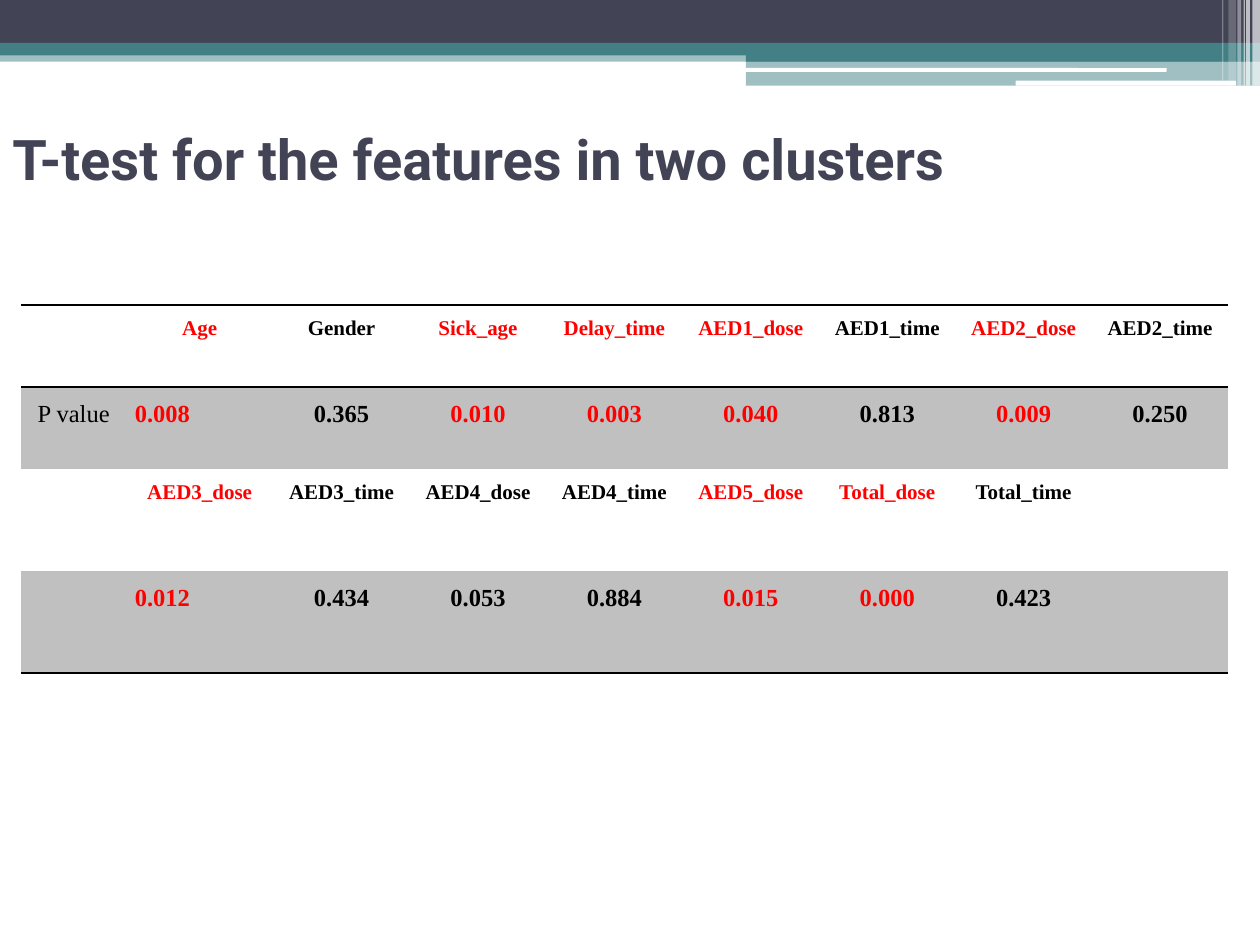
from lxml import etree
from pptx import Presentation
from pptx import util as u
from pptx.dml.color import RGBColor
from pptx.enum import shapes, text
from pptx.oxml.ns import qn

COLORS = {
    "slate": "424456", "teal": "438086", "white": "FFFFFF",
    "black": "000000", "red": "FF0000", "gray": "C0C0C0",
}
SIGNIFICANCE = 0.05
RESULTS = [
    [("Age", "0.008"), ("Gender", "0.365"), ("Sick_age", "0.010"),
     ("Delay_time", "0.003"), ("AED1_dose", "0.040"), ("AED1_time", "0.813"),
     ("AED2_dose", "0.009"), ("AED2_time", "0.250")],
    [("AED3_dose", "0.012"), ("AED3_time", "0.434"), ("AED4_dose", "0.053"),
     ("AED4_time", "0.884"), ("AED5_dose", "0.015"), ("Total_dose", "0.000"),
     ("Total_time", "0.423")],
]


def rgb(name):
    return RGBColor.from_string(COLORS[name])


def add_run(paragraph, content, size, font, color, bold):
    run = paragraph.add_run()
    run.text = content
    run.font.size = u.Pt(size)
    run.font.name = font
    run.font.bold = bold
    run.font.color.rgb = rgb(color)


def add_bar(slide, left, top, width, height, color, opacity=100, rounded=False):
    kind = shapes.MSO_SHAPE.ROUNDED_RECTANGLE if rounded else shapes.MSO_SHAPE.RECTANGLE
    bar = slide.shapes.add_shape(kind, *map(u.Inches, (left, top, width, height)))
    bar.shadow.inherit = False
    bar.line.fill.background()
    bar.fill.solid()
    bar.fill.fore_color.rgb = rgb(color)
    if opacity < 100:
        color_element = bar.fill._xPr.find(qn("a:solidFill"))[0]
        etree.SubElement(color_element, qn("a:alpha"), val=str(opacity * 1000))


def add_header(slide, left, top, width):
    # Full-width bands
    add_bar(slide, left, top + 0.4, width, 0.09, "teal", 50)
    add_bar(slide, left, top, width, 0.34, "slate")
    add_bar(slide, left, top + 0.34, width, 0.1, "teal")
    # Step on the right, with two white rules
    step = left + 5.92
    add_bar(slide, step, top + 0.39, width - 5.92, 0.1, "teal")
    add_bar(slide, step, top + 0.48, width - 5.92, 0.2, "teal", 50)
    add_bar(slide, left + 5.91, top + 0.54, 3.35, 0.03, "white", rounded=True)
    add_bar(slide, left + 8.06, top + 0.64, 1.75, 0.04, "white", rounded=True)
    # Translucent stripes: offset, width, height, opacity
    stripes = [(9.94, 0.06, 0.68, 65), (9.89, 0.03, 0.68, 65), (9.87, 0.01, 0.68, 60),
               (9.82, 0.03, 0.68, 40), (9.75, 0.06, 0.64, 20), (9.7, 0.01, 0.64, 30)]
    for offset, stripe_width, height, opacity in stripes:
        add_bar(slide, left + offset, top, stripe_width, height, "white", opacity)


def add_title(slide, left, top, width, height):
    box = slide.shapes.add_textbox(*map(u.Inches, (left, top, width, height)))
    frame = box.text_frame
    frame.word_wrap = True
    frame.vertical_anchor = text.MSO_ANCHOR.MIDDLE
    add_run(frame.paragraphs[0], "T-test for the features in two clusters",
            32, "Roboto", "slate", True)


def set_borders(cell, ruled_sides):
    properties = cell._tc.get_or_add_tcPr()
    for index, side in enumerate("LRTB"):
        ruled = side in ruled_sides
        line = etree.Element(qn(f"a:ln{side}"), w=str(u.Pt(1) if ruled else 0))
        if ruled:
            fill = etree.SubElement(line, qn("a:solidFill"))
            etree.SubElement(fill, qn("a:srgbClr"), val=COLORS["black"])
        else:
            etree.SubElement(line, qn("a:noFill"))
        properties.insert(index, line)


def write_cell(cell, content, size, color="black", bold=True, centered=True):
    cell.margin_left = cell.margin_right = u.Inches(0.07)
    cell.margin_top = cell.margin_bottom = 0
    paragraph = cell.text_frame.paragraphs[0]
    paragraph.alignment = text.PP_ALIGN.CENTER if centered else text.PP_ALIGN.LEFT
    paragraph.line_spacing = 1.5
    paragraph.space_after = u.Pt(6)
    add_run(paragraph, content, size, "Times New Roman", color, bold)


def add_results_table(slide, left, top, width, height):
    column_widths = [0.83, 1.17] + [(width - 2) / 7] * 7
    row_heights = [0.65, 0.65, 0.81, 0.81]
    frame = slide.shapes.add_table(len(row_heights), len(column_widths),
                                   *map(u.Inches, (left, top, width, height)))
    table = frame.table
    table.first_row = table.horz_banding = False
    for column, column_width in zip(table.columns, column_widths):
        column.width = u.Inches(column_width)
    for row, row_height in zip(table.rows, row_heights):
        row.height = u.Inches(row_height)

    # Gray value rows, with rules around the header and below the table
    for row_index, ruled_sides in enumerate(["TB", "T", "", "B"]):
        for cell in table.rows[row_index].cells:
            if row_index % 2:
                cell.fill.solid()
                cell.fill.fore_color.rgb = rgb("gray")
            else:
                cell.fill.background()
            set_borders(cell, ruled_sides)

    # Feature names above their p values, significant ones in red
    write_cell(table.cell(1, 0), "P value", 14, bold=False)
    for block, results in enumerate(RESULTS):
        for column, (feature, p_value) in enumerate(results, start=1):
            color = "red" if float(p_value) < SIGNIFICANCE else "black"
            write_cell(table.cell(2 * block, column), feature, 12, color)
            write_cell(table.cell(2 * block + 1, column), p_value, 14, color,
                       centered=column > 1)


def main():
    presentation = Presentation()
    presentation.slide_width = u.Inches(10)
    presentation.slide_height = u.Inches(7.5)
    slide = presentation.slides.add_slide(presentation.slide_layouts[6])
    add_header(slide, 0, 0, 10)
    add_results_table(slide, 0.17, 2.42, 9.58, 2.92)
    add_title(slide, 0, 0.67, 9, 1.17)
    presentation.save("out.pptx")


if __name__ == "__main__":
    main()
